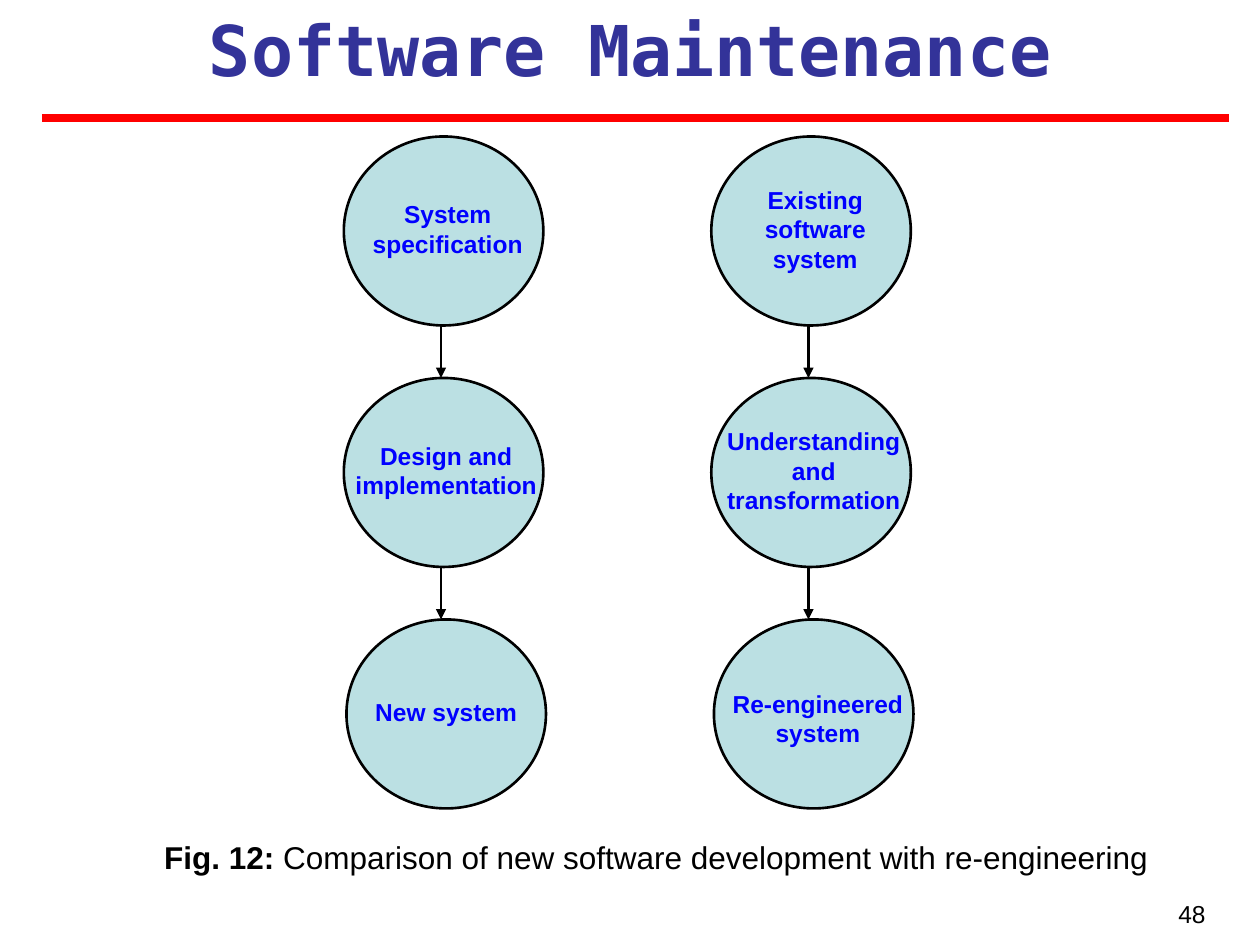
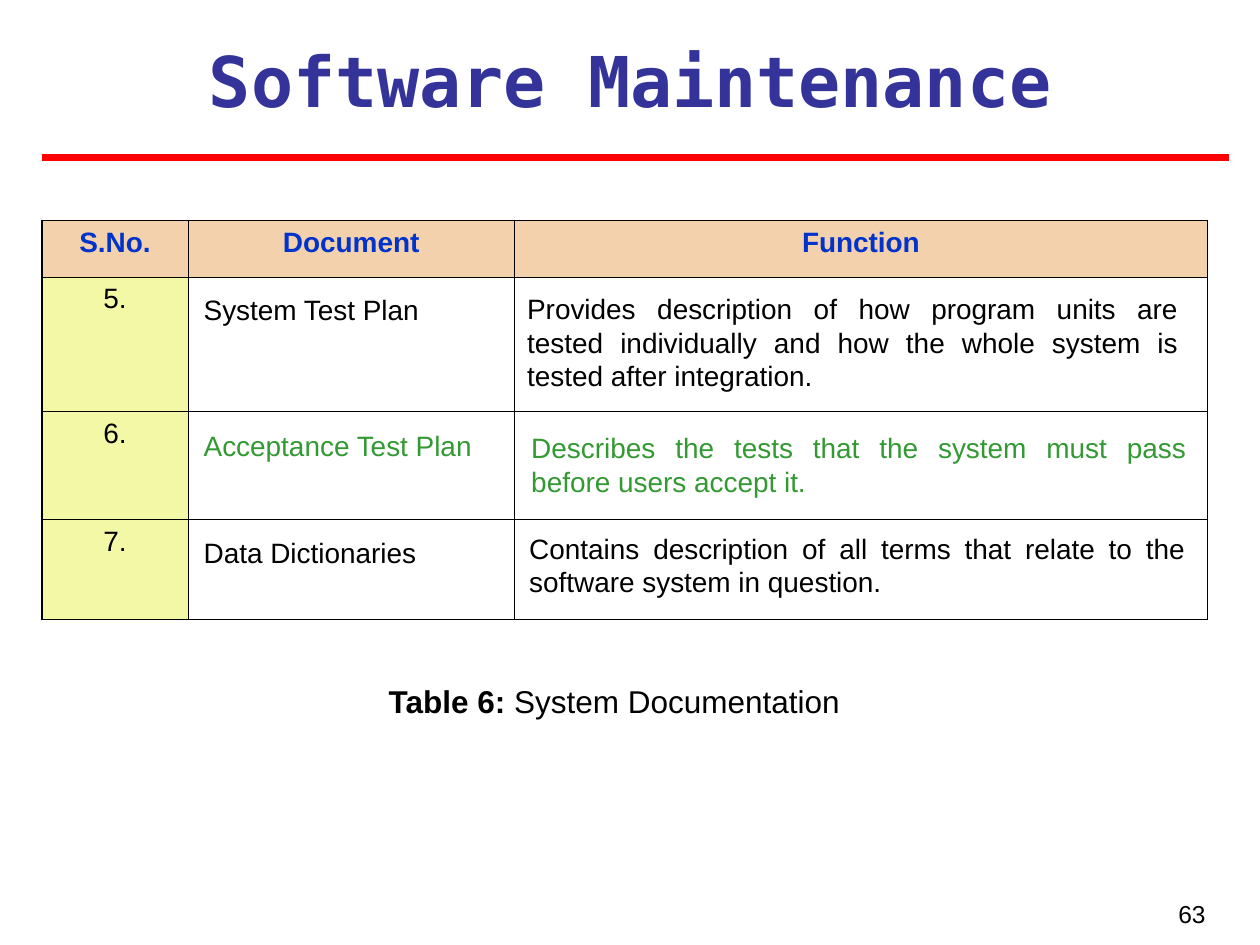
"""Build two Software Maintenance slides: a process comparison and a document table."""
from dataclasses import dataclass
from typing import Any, NamedTuple

from lxml.etree import SubElement
from pptx import Presentation
from pptx.dml.color import RGBColor
from pptx.enum.shapes import MSO_CONNECTOR, MSO_SHAPE
from pptx.enum.text import MSO_ANCHOR, MSO_AUTO_SIZE, PP_ALIGN
from pptx.oxml.ns import qn
from pptx.util import Inches, Pt

COLS, ROWS = 120, 90
WIDTH, HEIGHT = Inches(10), Inches(7.5)


@dataclass(frozen=True)
class Theme:
    sans: str = "Arial"
    mono: str = "DejaVu Sans Mono"
    black: str = "000000"
    title: str = "333399"
    rule: str = "FF0000"
    circle: str = "BBE0E3"
    label: str = "0000FF"
    header: str = "0033CC"
    header_fill: str = "F2D1AC"
    number_fill: str = "F2F8A6"
    accent: str = "339933"
    title_size: int = 40
    caption_size: int = 18
    table_size: int = 16
    small_size: int = 14
    rule_width: float = 4.5
    line_width: float = 1.5
    outer_border: float = 1.08
    inner_border: float = 0.45


class Box(NamedTuple):
    left: float
    top: float
    width: float
    height: float


class Run(NamedTuple):
    text: str
    size: int
    color: str
    bold: bool = False
    font: str = ""


class Stage(NamedTuple):
    text: str
    lines: int
    indent: float
    width: float
    drop: float = 0


class Document(NamedTuple):
    number: str
    name: str
    function: str
    color: str
    name_box: Box
    function_box: Box


T = Theme()
CIRCLE = Box(32.75, 13, 19, 18)
COLUMN_STEP, STAGE_STEP = 35, 23
ARROW_X = 42
LABEL_LINE = 2.8
LAST_SHIFT = 0.25

PROCESSES = (
    (
        Stage("System specification", 2, 1.4, 17),
        Stage("Design and implementation", 2, 0.8, 17.9),
        Stage("New system", 1, 1, 17),
    ),
    (
        Stage("Existing software system", 3, 1.4, 17),
        Stage("Understanding and transformation", 3, 0.8, 17.9),
        Stage("Re-engineered system", 2, 1.4, 17, 0.6),
    ),
)

TABLE = Box(4, 21, 111, 38)
COLUMN_WIDTHS = (13.9, 31.1, 66)
ROW_HEIGHTS = (5.4, 12.8, 10.3, 9.5)
HEADINGS = ("S.No.", "Document", "Function")
DOCUMENTS = (
    Document(
        "5.", "System Test Plan",
        "Provides description of how program units are tested individually "
        "and how the whole system is tested after integration.",
        T.black, Box(19.4, 27.9, 28, 3.2), Box(50.2, 27.8, 62, 9.6),
    ),
    Document(
        "6.", "Acceptance Test Plan",
        "Describes the tests that the system must pass before users accept it.",
        T.accent, Box(19.4, 40.8, 28, 3.2), Box(50.6, 41, 62.4, 6.4),
    ),
    Document(
        "7.", "Data Dictionaries",
        "Contains description of all terms that relate to the software system in question.",
        T.black, Box(19.4, 51, 28, 3.2), Box(50.4, 50.6, 62.5, 6.4),
    ),
)


def x(cols: float) -> int:
    """Turn grid columns into a length."""
    return round(WIDTH * cols / COLS)


def y(rows: float) -> int:
    """Turn grid rows into a length."""
    return round(HEIGHT * rows / ROWS)


def place(box: Box) -> tuple[int, int, int, int]:
    """Turn a grid box into left, top, width and height."""
    return x(box.left), y(box.top), x(box.width), y(box.height)


def put(obj: Any, values: dict[str, Any]) -> None:
    """Set each named attribute on an object."""
    for name, value in values.items():
        setattr(obj, name, value)


def write(tf: Any, runs: list[Run], align: PP_ALIGN) -> None:
    """Write one aligned paragraph of formatted runs."""
    p = tf.paragraphs[0]
    put(p, {"alignment": align, "space_before": Pt(0)})
    for run in runs:
        r = p.add_run()
        r.text = run.text
        put(r.font, {"name": run.font or T.sans, "size": Pt(run.size), "bold": run.bold})
        r.font.color.rgb = RGBColor.from_string(run.color)


def text(shapes: Any, box: Box, runs: list[Run], align: PP_ALIGN, inset: bool = False) -> None:
    """Add a wrapping text box, without margins unless inset."""
    tf = shapes.add_textbox(*place(box)).text_frame
    tf.word_wrap = True
    if not inset:
        put(tf, {f"margin_{side}": 0 for side in ("left", "top", "right", "bottom")})
    write(tf, runs, align)


def line(shapes: Any, start: tuple[float, float], end: tuple[float, float],
         color: str, width: float, arrow: bool = False) -> None:
    """Draw a straight line, optionally ending in an arrowhead."""
    sp = shapes.add_connector(
        MSO_CONNECTOR.STRAIGHT, x(start[0]), y(start[1]), x(end[0]), y(end[1]))
    sp.line.color.rgb = RGBColor.from_string(color)
    sp.line.width = Pt(width)
    if arrow:
        SubElement(sp.line._get_or_add_ln(), qn("a:tailEnd"), type="triangle")
    SubElement(sp._element.spPr, qn("a:effectLst"))


def add_slide(prs: Any, number: str, title_top: float, rule_y: float) -> Any:
    """Add a slide with the shared title, rule and number."""
    s = prs.slides.add_slide(prs.slide_layouts[5])
    title = s.shapes.title
    put(title, dict(zip(("left", "top", "width", "height"), place(Box(4, title_top, 112, 9.2)))))
    put(title.text_frame, {"word_wrap": True, "auto_size": MSO_AUTO_SIZE.NONE,
                           "vertical_anchor": MSO_ANCHOR.MIDDLE})
    write(title.text_frame,
          [Run("Software Maintenance", T.title_size, T.title, True, T.mono)], PP_ALIGN.CENTER)
    line(s.shapes, (4, rule_y), (117, rule_y), T.rule, T.rule_width)
    text(s.shapes, Box(88, 85, 28, 5), [Run(number, T.small_size, T.black)],
         PP_ALIGN.RIGHT, inset=True)
    return s


def caption(s: Any, left: float, top: float, tag: str, words: str) -> None:
    """Add a caption with a bold tag."""
    runs = [Run(tag, T.caption_size, T.black, True), Run(f" {words}", T.caption_size, T.black)]
    text(s.shapes, Box(left, top, 97, 3.6), runs, PP_ALIGN.CENTER)


def draw_stage(shapes: Any, stage: Stage, box: Box) -> None:
    """Draw one circled stage and its label."""
    sp = shapes.add_shape(MSO_SHAPE.OVAL, *place(box))
    sp.shadow.inherit = False
    sp.fill.solid()
    sp.fill.fore_color.rgb = RGBColor.from_string(T.circle)
    sp.line.color.rgb = RGBColor.from_string(T.black)
    sp.line.width = Pt(T.line_width)
    height = stage.lines * LABEL_LINE
    top = box.top + (box.height - height) / 2 - 0.2 + stage.drop
    text(shapes, Box(box.left + stage.indent, top, stage.width, height),
         [Run(stage.text, T.small_size, T.label, True)], PP_ALIGN.CENTER)


def draw_process(s: Any, stages: tuple[Stage, ...], offset: float) -> None:
    """Draw a grouped column of stages joined by arrows."""
    shapes = s.shapes.add_group_shape().shapes
    last = len(stages) - 1
    for i, stage in enumerate(stages):
        left = CIRCLE.left + offset + (LAST_SHIFT if i == last else 0)
        top = CIRCLE.top + i * STAGE_STEP
        draw_stage(shapes, stage, CIRCLE._replace(left=left, top=top))
        if i < last:
            arrow_x = ARROW_X + offset
            line(shapes, (arrow_x, top + CIRCLE.height), (arrow_x, top + STAGE_STEP),
                 T.black, T.line_width, arrow=True)


def border(cell: Any, outer: dict[str, bool]) -> None:
    """Draw the four borders of a cell, thicker on outer sides."""
    for side, is_outer in outer.items():
        width = T.outer_border if is_outer else T.inner_border
        ln = SubElement(cell._tc.get_or_add_tcPr(), qn(f"a:ln{side}"), w=str(Pt(width)))
        SubElement(SubElement(ln, qn("a:solidFill")), qn("a:srgbClr"), val=T.black)


def draw_table(s: Any) -> None:
    """Draw the document table and the text laid over its rows."""
    rows, cols = len(ROW_HEIGHTS), len(COLUMN_WIDTHS)
    table = s.shapes.add_table(rows, cols, *place(TABLE)).table
    put(table, {"first_row": False, "horz_banding": False})
    for column, width in zip(table.columns, COLUMN_WIDTHS):
        column.width = x(width)
    for row, height in zip(table.rows, ROW_HEIGHTS):
        row.height = y(height)
    for i in range(rows):
        for j in range(cols):
            cell = table.cell(i, j)
            border(cell, {"L": j == 0, "R": j == cols - 1, "T": i == 0, "B": i == rows - 1})
            if i and j:
                cell.fill.background()
                continue
            cell.fill.solid()
            fill = T.number_fill if i else T.header_fill
            cell.fill.fore_color.rgb = RGBColor.from_string(fill)
            run = (Run(DOCUMENTS[i - 1].number, T.table_size, T.black) if i
                   else Run(HEADINGS[j], T.table_size, T.header, True))
            write(cell.text_frame, [run], PP_ALIGN.CENTER)
    for doc in DOCUMENTS:
        text(s.shapes, doc.name_box, [Run(doc.name, T.table_size, doc.color)], PP_ALIGN.LEFT)
        text(s.shapes, doc.function_box, [Run(doc.function, T.table_size, doc.color)],
             PP_ALIGN.JUSTIFY)


def main() -> None:
    """Build and save both slides."""
    prs = Presentation()
    put(prs, {"slide_width": WIDTH, "slide_height": HEIGHT})

    s = add_slide(prs, "48", 0, 11.25)
    for i, stages in enumerate(PROCESSES):
        draw_process(s, stages, i * COLUMN_STEP)
    caption(s, 14, 79.8, "Fig. 12:", "Comparison of new software development with re-engineering")

    s = add_slide(prs, "63", 3, 15)
    draw_table(s)
    caption(s, 10, 65, "Table 6:", "System Documentation")

    prs.save("out.pptx")


if __name__ == "__main__":
    main()
